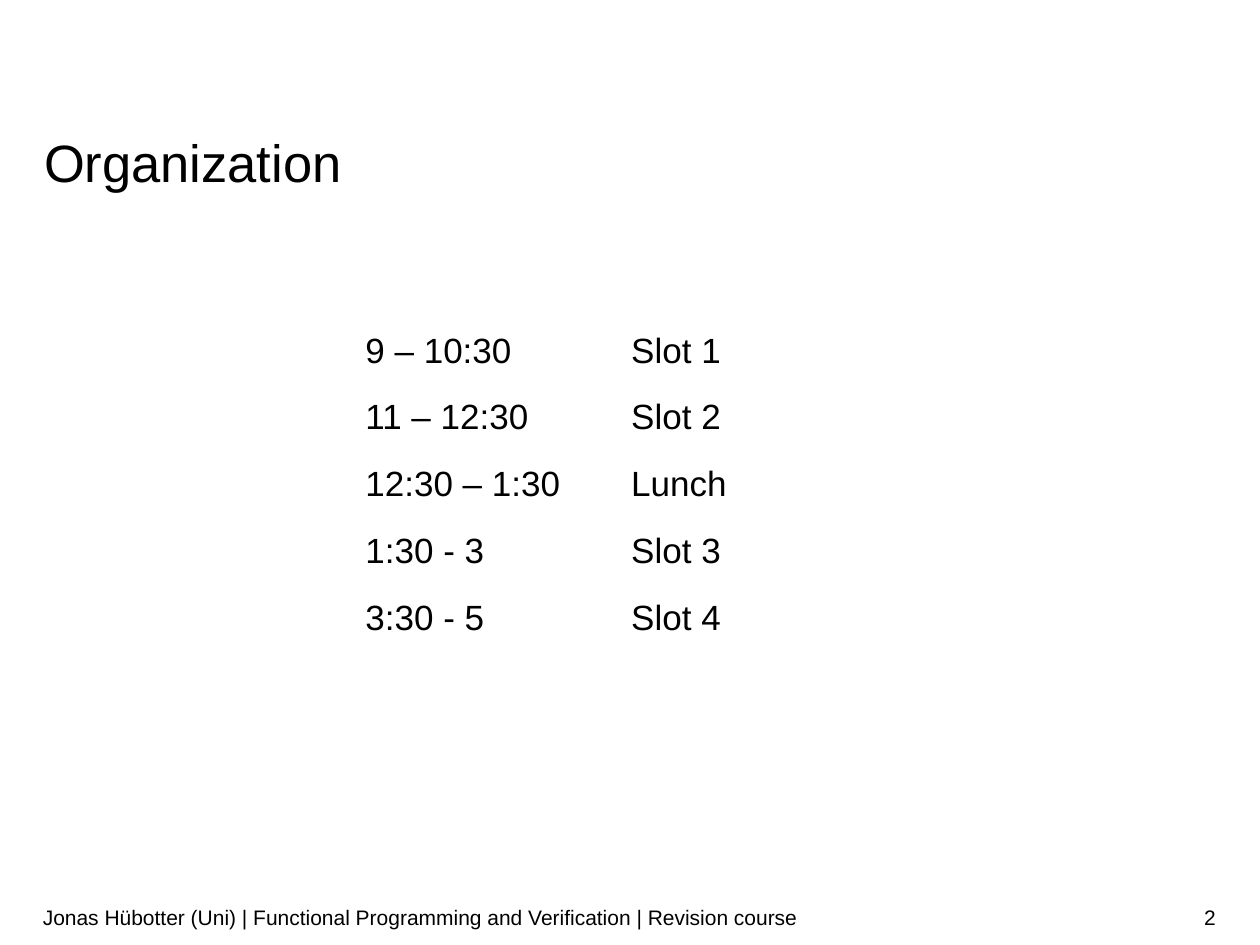
from dataclasses import dataclass

from pptx import Presentation
from pptx.dml.color import RGBColor
from pptx.enum.text import MSO_ANCHOR as Anchor, PP_ALIGN as Align
from pptx.util import Inches, Pt


@dataclass(frozen=True)
class Theme:
    """Colours, font and type sizes of the slide."""
    ink: RGBColor = RGBColor(0, 0, 0)
    paper: RGBColor = RGBColor(255, 255, 255)
    font: str = "Arial"
    title: int = 30
    body: int = 20
    footer: int = 12


class SlideBuilder:
    """Adds styled elements to the current slide."""

    def __init__(self, page, theme):
        """Keep the slide and its style, and paint the background."""
        self.page, self.theme = page, theme
        page.background.fill.solid()
        page.background.fill.fore_color.rgb = theme.paper

    def style(self, para, size, align=Align.LEFT):
        """Set the font and alignment of a paragraph."""
        para.font.name = self.theme.font
        para.font.size = Pt(size)
        para.font.color.rgb = self.theme.ink
        para.alignment = align

    def text(self, text, place, size, anchor=Anchor.MIDDLE,
             align=Align.LEFT, inset=0.05, spacing=None):
        """Add one paragraph of text at left, top, width, height."""
        box = self.page.shapes.add_textbox(*map(Inches, place))
        frame = box.text_frame
        frame.word_wrap = True
        frame.vertical_anchor = anchor
        frame.margin_left = frame.margin_right = 0
        frame.margin_top = frame.margin_bottom = Inches(inset)
        para = frame.paragraphs[0]
        para.text = text
        self.style(para, size, align)
        if spacing:
            para.line_spacing = Pt(spacing)

    def table(self, rows, left, top, widths, row_height):
        """Add a plain table with equal row heights."""
        frame = self.page.shapes.add_table(
            len(rows), len(widths), Inches(left), Inches(top),
            Inches(sum(widths)), Inches(row_height * len(rows)))
        table = frame.table
        table.first_row = table.horz_banding = False
        for column, width in zip(table.columns, widths):
            column.width = Inches(width)
        for row, values in zip(table.rows, rows):
            row.height = Inches(row_height)
            for cell, value in zip(row.cells, values):
                cell.fill.background()
                cell.vertical_anchor = Anchor.MIDDLE
                cell.margin_left = cell.margin_right = cell.margin_bottom = 0
                cell.margin_top = Inches(0.2)
                cell.text = value
                self.style(cell.text_frame.paragraphs[0], self.theme.body)


SCHEDULE = [
    ("9 – 10:30", "Slot 1"),
    ("11 – 12:30", "Slot 2"),
    ("12:30 – 1:30", "Lunch"),
    ("1:30 - 3", "Slot 3"),
    ("3:30 - 5", "Slot 4"),
]


def main():
    """Build the organization slide and save it."""
    deck = Presentation()
    deck.slide_width, deck.slide_height = Inches(10), Inches(7.5)
    theme = Theme()
    builder = SlideBuilder(deck.slides.add_slide(deck.slide_layouts[6]), theme)
    builder.table(SCHEDULE, 2.9, 2.42, (2.11, 2.09), 0.53)
    builder.text("2", (7.41, 7.08, 2.24, 0.4), theme.footer, align=Align.RIGHT)
    builder.text("Jonas Hübotter (Uni) | Functional Programming and "
                 "Verification | Revision course",
                 (0.34, 7.08, 7.07, 0.4), theme.footer)
    builder.text("Organization", (0.35, 1.09, 9.31, 0.45), theme.title,
                 anchor=Anchor.TOP, inset=0, spacing=32)
    deck.save("out.pptx")


main()
